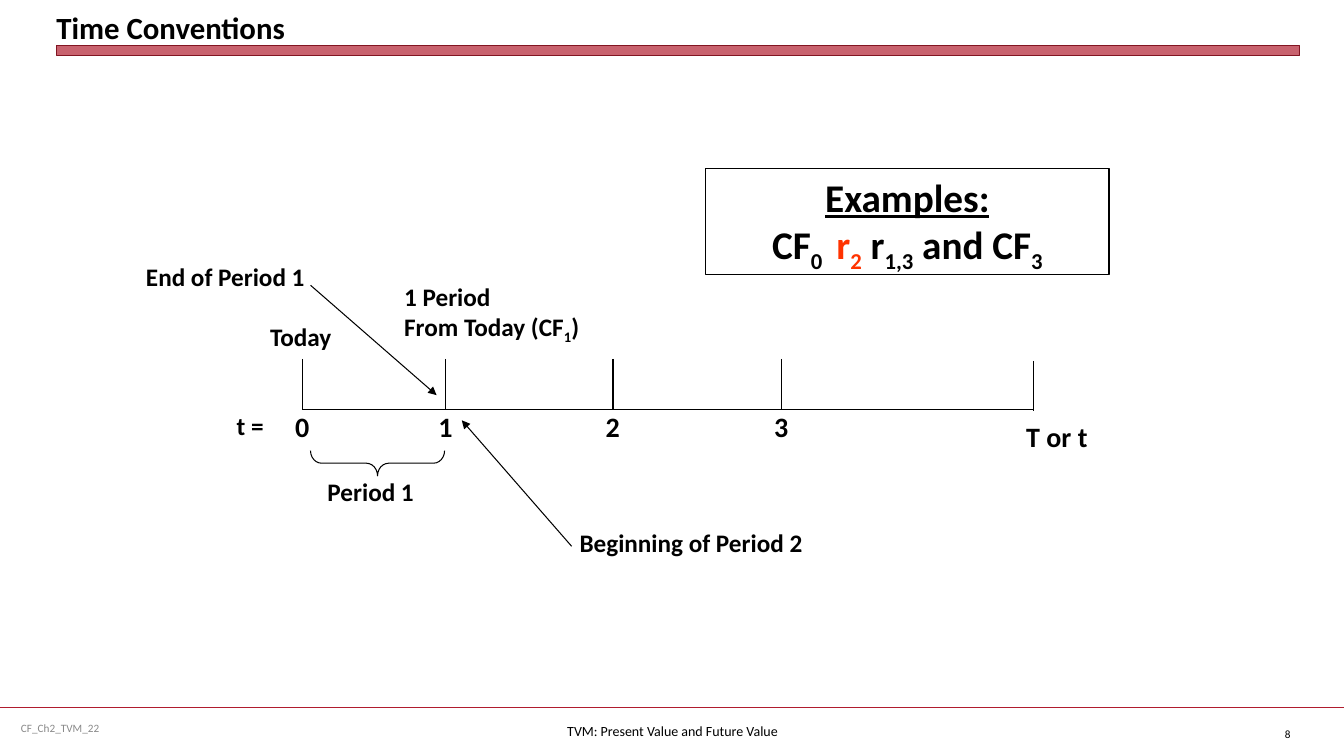
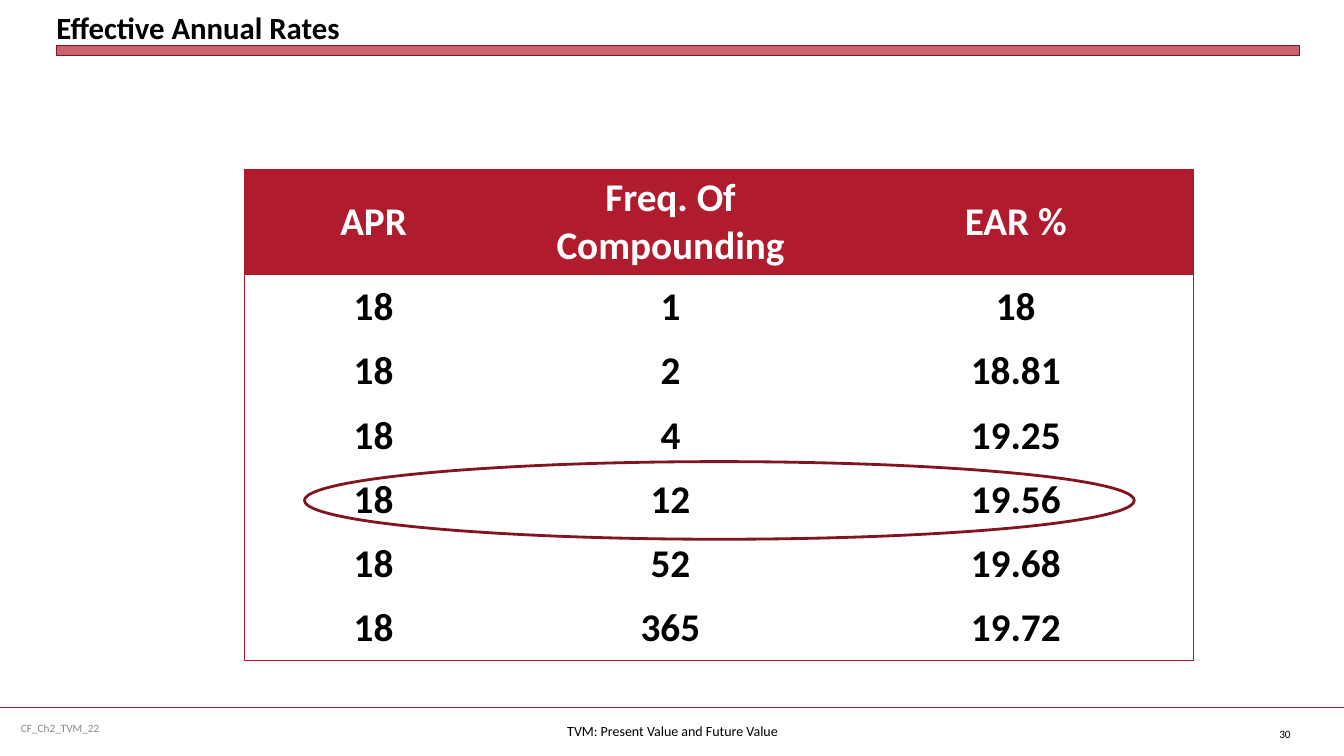
"""Build two finance slides: a cash flow timeline and a table of effective annual rates."""
import dataclasses

import lxml.etree
import pptx
import pptx.dml.color
import pptx.enum.shapes
import pptx.enum.text
import pptx.oxml.ns
import pptx.util

Inches = pptx.util.Inches
Pt = pptx.util.Pt
Color = pptx.dml.color.RGBColor.from_string
qn = pptx.oxml.ns.qn
Align = pptx.enum.text.PP_ALIGN
Anchor = pptx.enum.text.MSO_ANCHOR
Shape = pptx.enum.shapes.MSO_SHAPE


@dataclasses.dataclass(frozen=True)
class Theme:
    font: str = "Calibri"
    black: str = "000000"
    white: str = "FFFFFF"
    gray: str = "898989"
    crimson: str = "B01C2E"
    dark_red: str = "821522"
    border_red: str = "B0182A"
    orange: str = "FF3300"
    title: int = 22
    large: int = 28
    number: int = 20
    label: int = 18
    footer: int = 10
    small: int = 8
    thin: float = 0.75


theme = Theme()


def write_text(text_frame, paragraphs, size, color=theme.black, bold=True,
               align=Align.LEFT, anchor=Anchor.TOP, wrap=True):
    """Write paragraphs of (text, is_subscript, color) runs."""
    text_frame.word_wrap = wrap
    text_frame.auto_size = pptx.enum.text.MSO_AUTO_SIZE.NONE
    text_frame.vertical_anchor = anchor
    for index, runs in enumerate(paragraphs):
        paragraph = text_frame.paragraphs[0] if index == 0 else text_frame.add_paragraph()
        paragraph.alignment = align
        for text, is_subscript, run_color in runs:
            run = paragraph.add_run()
            run.text = text
            run.font.name = theme.font
            run.font.size = Pt(size)
            run.font.bold = bold
            run.font.color.rgb = Color(run_color or color)
            if is_subscript:
                run.font._element.set("baseline", "-25000")


def add_line(slide, start, end, color=theme.black, width=theme.thin, arrow=False):
    """Draw a straight line, with an arrowhead at its end if asked."""
    line = slide.shapes.add_connector(
        pptx.enum.shapes.MSO_CONNECTOR.STRAIGHT, *map(Inches, (*start, *end)))
    line.line.color.rgb = Color(color)
    line.line.width = Pt(width)
    properties = line._element.spPr
    if arrow:
        lxml.etree.SubElement(properties.find(qn("a:ln")), qn("a:tailEnd"), type="triangle")
    lxml.etree.SubElement(properties, qn("a:effectLst"))


presentation = pptx.Presentation()
presentation.slide_width = Inches(13.33)
presentation.slide_height = Inches(7.5)

for title_text, slide_number in (("Time Conventions", "8"), ("Effective Annual Rates", "30")):
    slide = presentation.slides.add_slide(presentation.slide_layouts[5])
    add_line(slide, (0, 7.02), (13.33, 7.02), theme.crimson, 1.25)

    band = slide.shapes.add_shape(
        Shape.RECTANGLE, Inches(0.56), Inches(0.45), Inches(12.33), Inches(0.1))
    band.shadow.inherit = False
    band.fill.solid()
    band.fill.fore_color.rgb = Color(theme.crimson)
    band_color = band._element.spPr.find(qn("a:solidFill"))[0]
    lxml.etree.SubElement(band_color, qn("a:alpha"), val="69000")
    band.line.color.rgb = Color(theme.dark_red)
    band.line.width = Pt(0.25)

    title = slide.shapes.title
    title.left, title.top, title.width, title.height = map(Inches, (0.56, 0.05, 12.33, 0.4))
    frame = title.text_frame
    frame.margin_left = frame.margin_top = frame.margin_right = frame.margin_bottom = 0
    write_text(frame, [[(title_text, False, None)]], theme.title, anchor=Anchor.BOTTOM)

    for text, box, size, color, align in (
        ("CF_Ch2_TVM_22", (0.11, 7.02, 3.44, 0.4), theme.small, theme.gray, Align.LEFT),
        ("TVM: Present Value and Future Value", (4.56, 7.05, 4.22, 0.4),
         theme.footer, theme.black, Align.CENTER),
        (slide_number, (12.23, 7.08, 0.67, 0.4), theme.small, theme.black, Align.RIGHT),
    ):
        footer = slide.shapes.add_textbox(*map(Inches, box))
        write_text(footer.text_frame, [[(text, False, None)]], size, color,
                   bold=False, align=align, anchor=Anchor.MIDDLE)

timeline_slide, rates_slide = presentation.slides

axis_y = 4.06
axis_end = 10.25
tick_positions = (3, 4.42, 6.08, 7.75)
add_line(timeline_slide, (tick_positions[0], axis_y), (axis_end, axis_y))
add_line(timeline_slide, (axis_end, 3.58), (axis_end, 4.08))
labels = [
    ("Today", (2.58, 3.14, 0.81, 0.4), theme.label),
    ("Period 1", (3.15, 4.68, 1.07, 0.4), theme.label),
    ("Beginning of Period 2", (5.65, 5.18, 2.44, 0.4), theme.label),
    ("End of Period 1", (1.35, 2.54, 1.8, 0.4), theme.label),
    ("t =", (2.25, 4.02, 0.53, 0.4), theme.label),
    ("T or t", (10.08, 4.11, 0.82, 0.44), theme.number),
]
for period, x in enumerate(tick_positions):
    add_line(timeline_slide, (x, 3.56), (x, axis_y))
    labels.append((str(period), (x - 0.17, 4.01, 0.36, 0.43), theme.number))
for text, box, size in labels:
    label = timeline_slide.shapes.add_textbox(*map(Inches, box))
    write_text(label.text_frame, [[(text, False, None)]], size, wrap=False)

add_line(timeline_slide, (3.08, 2.83), (4.33, 3.92), arrow=True)
add_line(timeline_slide, (5.67, 5.42), (4.58, 4.17), arrow=True)

one_period = timeline_slide.shapes.add_textbox(*map(Inches, (3.91, 2.74, 1.99, 0.71)))
write_text(one_period.text_frame, [
    [("1 Period", False, None)],
    [("From Today (CF", False, None), ("1", True, None), (")", False, None)],
], theme.label)

brace = timeline_slide.shapes.add_shape(
    Shape.LEFT_BRACE, *map(Inches, (3.62, 3.93, 0.25, 1.33)))
brace.rotation = 270
brace.adjustments[0] = 0.44
brace.adjustments[1] = 0.5

examples = timeline_slide.shapes.add_shape(
    Shape.RECTANGLE, *map(Inches, (7, 1.67, 4, 1.05)))
write_text(examples.text_frame, [
    [("Examples:", False, None)],
    [("CF", False, None), ("0 ", True, None), (" r", False, theme.orange),
     ("2", True, theme.orange), (" r", False, None), ("1,3", True, None),
     (" and CF", False, None), ("3", True, None)],
], theme.large, align=Align.CENTER)
examples.text_frame.paragraphs[0].runs[0].font.underline = True

rates = (
    ("APR", "Freq. Of Compounding", "EAR %"),
    ("18", "1", "18"),
    ("18", "2", "18.81"),
    ("18", "4", "19.25"),
    ("18", "12", "19.56"),
    ("18", "52", "19.68"),
    ("18", "365", "19.72"),
)
column_widths = (2.57, 3.32, 3.53)
table_height, header_height = 4.86, 1.04
last_row, last_column = len(rates) - 1, len(column_widths) - 1
table = rates_slide.shapes.add_table(
    len(rates), len(column_widths), Inches(2.42), Inches(1.68),
    Inches(sum(column_widths)), Inches(table_height)).table
table.horz_banding = False
for column, width in zip(table.columns, column_widths):
    column.width = Inches(width)
for row_index, values in enumerate(rates):
    is_header = row_index == 0
    body_height = (table_height - header_height) / last_row
    table.rows[row_index].height = Inches(header_height if is_header else body_height)
    for column_index, value in enumerate(values):
        cell = table.cell(row_index, column_index)
        cell_properties = cell._tc.get_or_add_tcPr()
        for side, is_outer in (
            ("L", column_index == 0), ("R", column_index == last_column),
            ("T", is_header), ("B", row_index == last_row),
        ):
            border = lxml.etree.SubElement(
                cell_properties, qn(f"a:ln{side}"), w=str(int(Pt(theme.thin))))
            if is_outer:
                border_fill = lxml.etree.SubElement(border, qn("a:solidFill"))
                lxml.etree.SubElement(border_fill, qn("a:srgbClr"), val=theme.border_red)
            else:
                lxml.etree.SubElement(border, qn("a:noFill"))
        cell.fill.solid()
        cell.fill.fore_color.rgb = Color(theme.crimson if is_header else theme.white)
        cell.vertical_anchor = Anchor.MIDDLE
        write_text(cell.text_frame, [[(value, False, None)]], theme.large,
                   theme.white if is_header else theme.black,
                   align=Align.CENTER, anchor=None)

monthly_ring = rates_slide.shapes.add_shape(
    Shape.OVAL, *map(Inches, (3.02, 4.58, 8.23, 0.77)))

for shape, color, width in (
    (brace, theme.black, theme.thin),
    (examples, theme.black, theme.thin),
    (monthly_ring, theme.dark_red, 2),
):
    shape.shadow.inherit = False
    shape.fill.background()
    shape.line.color.rgb = Color(color)
    shape.line.width = Pt(width)

presentation.save("out.pptx")
